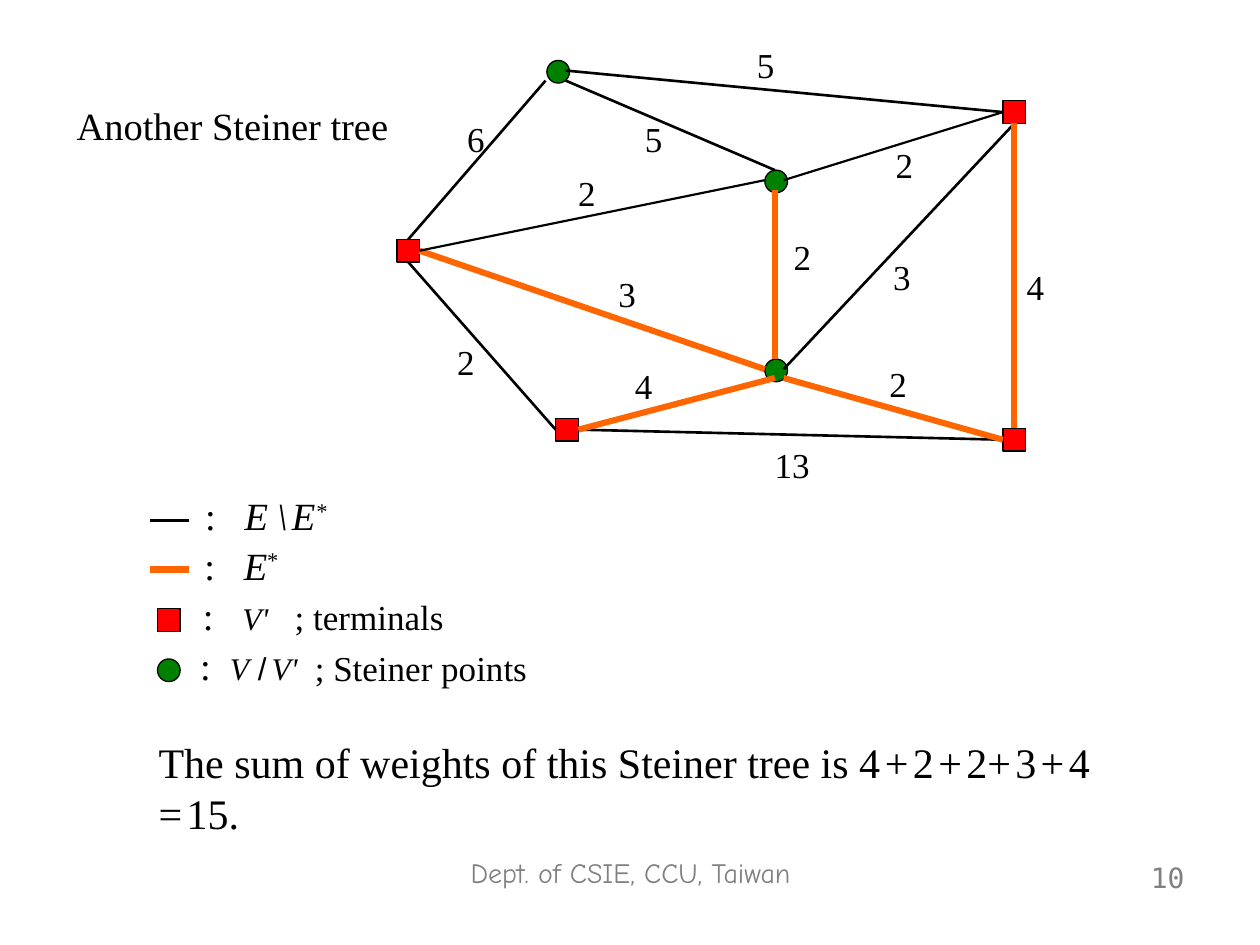
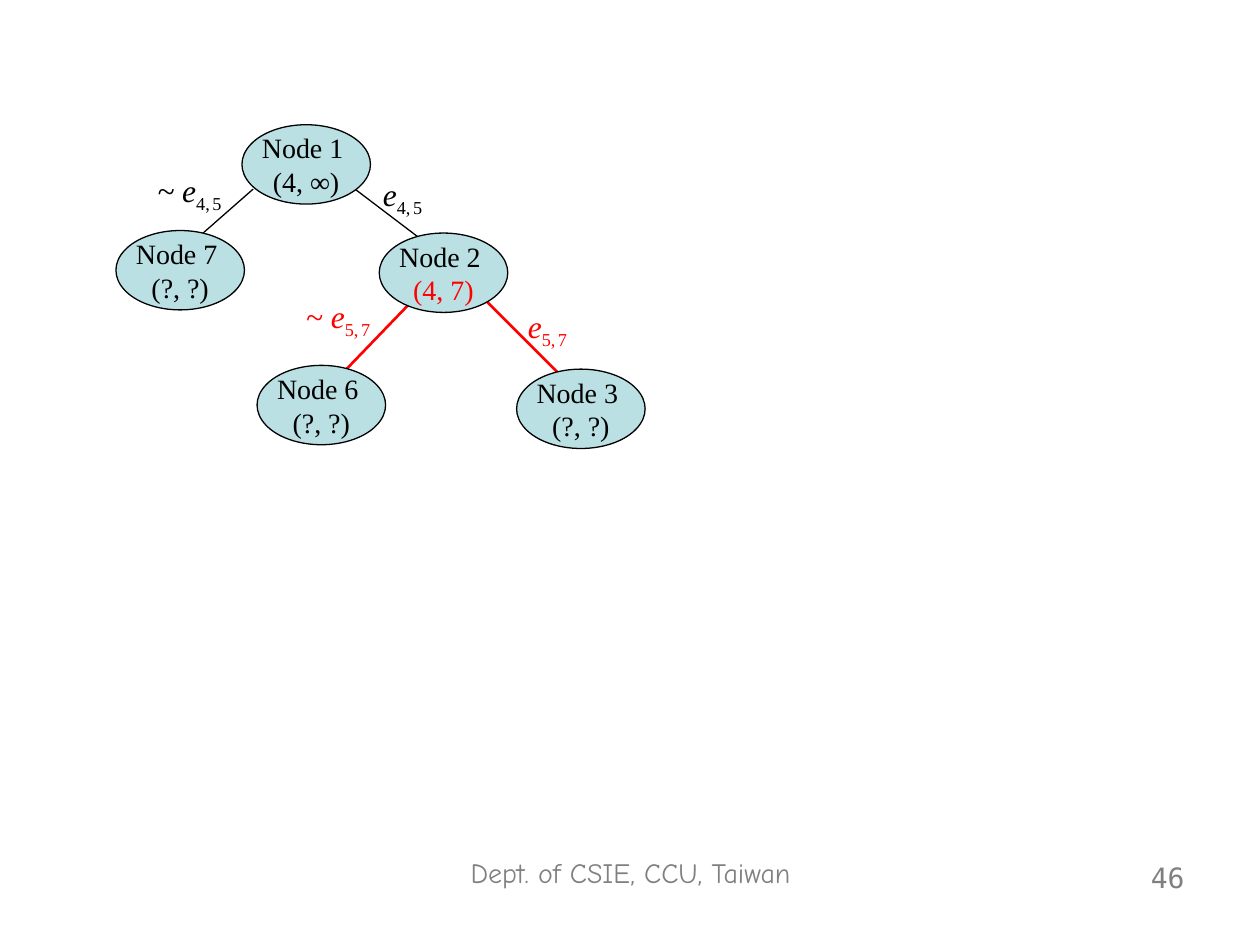
from lxml import etree
from pptx import Presentation
from pptx.dml.color import RGBColor
from pptx.enum.shapes import MSO_CONNECTOR, MSO_SHAPE
from pptx.enum.text import MSO_ANCHOR, PP_ALIGN
from pptx.oxml.ns import qn
from pptx.util import Emu, Pt

PX = 9144
RECT, OVAL = MSO_SHAPE.RECTANGLE, MSO_SHAPE.OVAL
STRAIGHT = MSO_CONNECTOR.STRAIGHT
LEFT, CENTER, RIGHT = PP_ALIGN.LEFT, PP_ALIGN.CENTER, PP_ALIGN.RIGHT
MIDDLE = MSO_ANCHOR.MIDDLE
TOP_SIDE, LEFT_SIDE, BOTTOM_SIDE, RIGHT_SIDE = range(4)

BLACK, RED, GREEN, ORANGE = "000000", "FF0000", "008000", "FF6600"
NODE_BLUE, FOOTER_GRAY = "BBE0E3", "808080"
SERIF, SANS = "Times New Roman", "Arial"
FOOTER_FONT, NUMBER_FONT = "Comic Neue", "DejaVu Sans Mono"
DOT = 18
NODE_W, NODE_H = 102, 63
THIN_SPACE = 10
TREE_WIDTH = 3.5

TERMINALS = {
    "west": (315, 190),
    "south": (441, 332),
    "northeast": (796, 80),
    "southeast": (796, 340),
}
STEINER_POINTS = [(434, 48), (607, 135), (607, 285)]
EDGES = [
    ((433, 64), ("west", TOP_SIDE), BLACK, 1.5),
    ((449, 56), ("northeast", LEFT_SIDE), BLACK, 1.5),
    ((449, 64), (615, 135), BLACK, 1.5),
    (("west", RIGHT_SIDE), (607, 293), ORANGE, TREE_WIDTH),
    ((622, 293), ("northeast", BOTTOM_SIDE), BLACK, 1.5),
    (("west", BOTTOM_SIDE), ("south", LEFT_SIDE), BLACK, 1.5),
    (("south", RIGHT_SIDE), ("southeast", LEFT_SIDE), BLACK, 1.5),
    (("northeast", BOTTOM_SIDE), ("southeast", TOP_SIDE), ORANGE, TREE_WIDTH),
    (("west", RIGHT_SIDE), (607, 143), BLACK, 1.25),
    ((615, 151), (615, 285), ORANGE, TREE_WIDTH),
    ((615, 300), ("south", RIGHT_SIDE), ORANGE, TREE_WIDTH),
    ((622, 300), ("southeast", LEFT_SIDE), ORANGE, TREE_WIDTH),
    ((622, 143), ("northeast", LEFT_SIDE), BLACK, 1.25),
]
WEIGHTS = [
    (591, 30, "5"), (502, 88, "5"), (701, 109, "2"), (361, 88, "6"),
    (449, 131, "2"), (353, 265, "2"), (481, 211, "3"), (494, 284, "4"),
    (605, 347, "13"), (696, 283, "2"), (620, 182, "2"), (699, 198, "3"),
    (805, 206, "4"),
]
SUM_PARTS = ["The sum of weights of this Steiner tree is 4",
             "+", "2", "+", "2+", "3", "+", "4", "=", "15."]

SEARCH_EDGES = [
    ((279, 148), (333, 189), BLACK, 0.75),
    ((201, 150), (160, 186), BLACK, 0.75),
    ((382, 235), (451, 304), RED, 1.5),
    ((326, 240), (274, 294), RED, 1.5),
]
SEARCH_NODES = [
    (192, 99, "Node 1 ", "(4, ∞)", BLACK),
    (204, 290, "Node 6 ", "(?, ?)", BLACK),
    (410, 293, "Node 3 ", "(?, ?)", BLACK),
    (92, 183, "Node 7 ", "(?, ?)", BLACK),
    (301, 185, "Node 2 ", "(4, 7)", RED),
]
BRANCH_LABELS = [
    (294, 134, 59, "e", "4,", "5", BLACK),
    (115, 131, 89, "~ e", "4,", "5", BLACK),
    (409, 239, 59, "e", "5,", "7", RED),
    (233, 231, 79, "~ e", "5,", "7", RED),
]


def px(*values):
    return [Emu(v * PX) for v in values]


def rgb(value):
    return RGBColor.from_string(value)


def format_run(r, size, color=BLACK, font=SERIF, italic=False, baseline=0):
    r.font.size = Pt(size)
    r.font.name = font
    r.font.italic = italic
    r.font.color.rgb = rgb(color)
    if baseline:
        r._r.get_or_add_rPr().set("baseline", str(baseline * 1000))


def add_text(s, box, runs, color=BLACK, align=LEFT, wrap=True):
    tf = s.shapes.add_textbox(*px(*box)).text_frame
    tf.word_wrap = wrap
    p = tf.paragraphs[0]
    p.alignment = align
    for text, size, *style in runs:
        r = p.add_run()
        r.text = text
        format_run(r, size, color, **(style[0] if style else {}))


def add_marker(s, kind, x, y, fill, w=DOT, h=DOT):
    sp = s.shapes.add_shape(kind, *px(x, y, w, h))
    sp.shadow.inherit = False
    sp.fill.solid()
    sp.fill.fore_color.rgb = rgb(fill)
    sp.line.color.rgb = rgb(BLACK)
    sp.line.width = Pt(0.75)
    return sp


def add_line(s, start, end, color, width):
    line = s.shapes.add_connector(STRAIGHT, *px(*start, *end))
    line.line.color.rgb = rgb(color)
    line.line.width = Pt(width)
    etree.SubElement(line._element.spPr, qn("a:effectLst"))
    return line


def add_edge(s, terminals, start, end, color, width):
    def joined(stop):
        return isinstance(stop[0], str)

    points = [TERMINALS[stop[0]] if joined(stop) else stop for stop in (start, end)]
    line = add_line(s, *points, color, width)
    if joined(start):
        line.begin_connect(terminals[start[0]], start[1])
    if joined(end):
        line.end_connect(terminals[end[0]], end[1])


def add_search_node(s, x, y, name, bounds, bounds_color):
    tf = add_marker(s, OVAL, x, y, NODE_BLUE, NODE_W, NODE_H).text_frame
    tf.word_wrap = False
    tf.vertical_anchor = MIDDLE
    tf.text = f"{name}\n{bounds}"
    for p, color in zip(tf.paragraphs, (BLACK, bounds_color)):
        p.alignment = CENTER
        format_run(p.runs[0], 16, color)


def add_branch_label(s, x, y, w, name, first, second, color):
    sub = {"baseline": -25}
    runs = [(name, 18, {"italic": True}), (first, 18, sub),
            (" ", THIN_SPACE, sub), (second, 18, sub)]
    add_text(s, (x, y, w, 44), runs, color)


def add_footer(s, number):
    add_text(s, (319, 674, 363, 52),
             [("Dept. of CSIE, CCU, Taiwan", 16, {"font": FOOTER_FONT})],
             FOOTER_GRAY, CENTER)
    add_text(s, (717, 678, 233, 52),
             [(number, 16, {"font": NUMBER_FONT})], FOOTER_GRAY, RIGHT)


def add_legend(s):
    italic, arial = {"italic": True}, {"font": SANS}
    add_line(s, (119, 413), (150, 413), BLACK, 2)
    add_line(s, (119, 452), (150, 452), ORANGE, TREE_WIDTH)
    add_marker(s, RECT, 125, 483, RED)
    add_marker(s, OVAL, 125, 523, GREEN)
    entries = [
        ((141, 386, 140, 47),
         [(":   ", 22), ("E", 22, italic), (" ", 18, arial), ("\\", 22, italic),
          (" ", THIN_SPACE, italic), ("E", 22, italic),
          ("*", 22, {"italic": True, "baseline": 30})]),
        ((144, 425, 95, 47),
         [(":   ", 22), ("E", 22, italic), ("*", 22, {"baseline": 30})]),
        ((149, 465, 76, 47), [(":   ", 22), ("V'", 18, italic)]),
        ((144, 505, 107, 47),
         [(":  ", 22), ("V", 18, italic), (" /", 18, arial),
          (" ", THIN_SPACE, arial), ("V'", 18, italic)]),
    ]
    for box, runs in entries:
        add_text(s, box, runs, align=CENTER)
    add_text(s, (224, 468, 202, 44), [("; terminals", 20)])
    add_text(s, (240, 508, 202, 44), [("; Steiner points", 20)])


def build_steiner_tree(s):
    terminals = {name: add_marker(s, RECT, x, y, RED)
                 for name, (x, y) in TERMINALS.items()}
    for x, y in STEINER_POINTS:
        add_marker(s, OVAL, x, y, GREEN)
    for edge in EDGES:
        add_edge(s, terminals, *edge)
    for x, y, weight in WEIGHTS:
        add_text(s, (x, y, 20 + 14 * len(weight), 44), [(weight, 20)], wrap=False)
    add_text(s, (51, 76, 276, 47), [("Another Steiner tree", 22)])
    add_legend(s)
    runs = [run for part in SUM_PARTS for run in ((part, 24), (" ", THIN_SPACE))]
    add_text(s, (116, 580, 772, 90), runs[:-1])


def build_search_tree(s):
    for edge in SEARCH_EDGES:
        add_line(s, *edge)
    for node in SEARCH_NODES:
        add_search_node(s, *node)
    for label in BRANCH_LABELS:
        add_branch_label(s, *label)


def main():
    prs = Presentation()
    prs.slide_width, prs.slide_height = px(1000, 750)
    for build, number in ((build_steiner_tree, "10"), (build_search_tree, "46")):
        s = prs.slides.add_slide(prs.slide_layouts[6])
        build(s)
        add_footer(s, number)
    prs.save("out.pptx")


if __name__ == "__main__":
    main()
